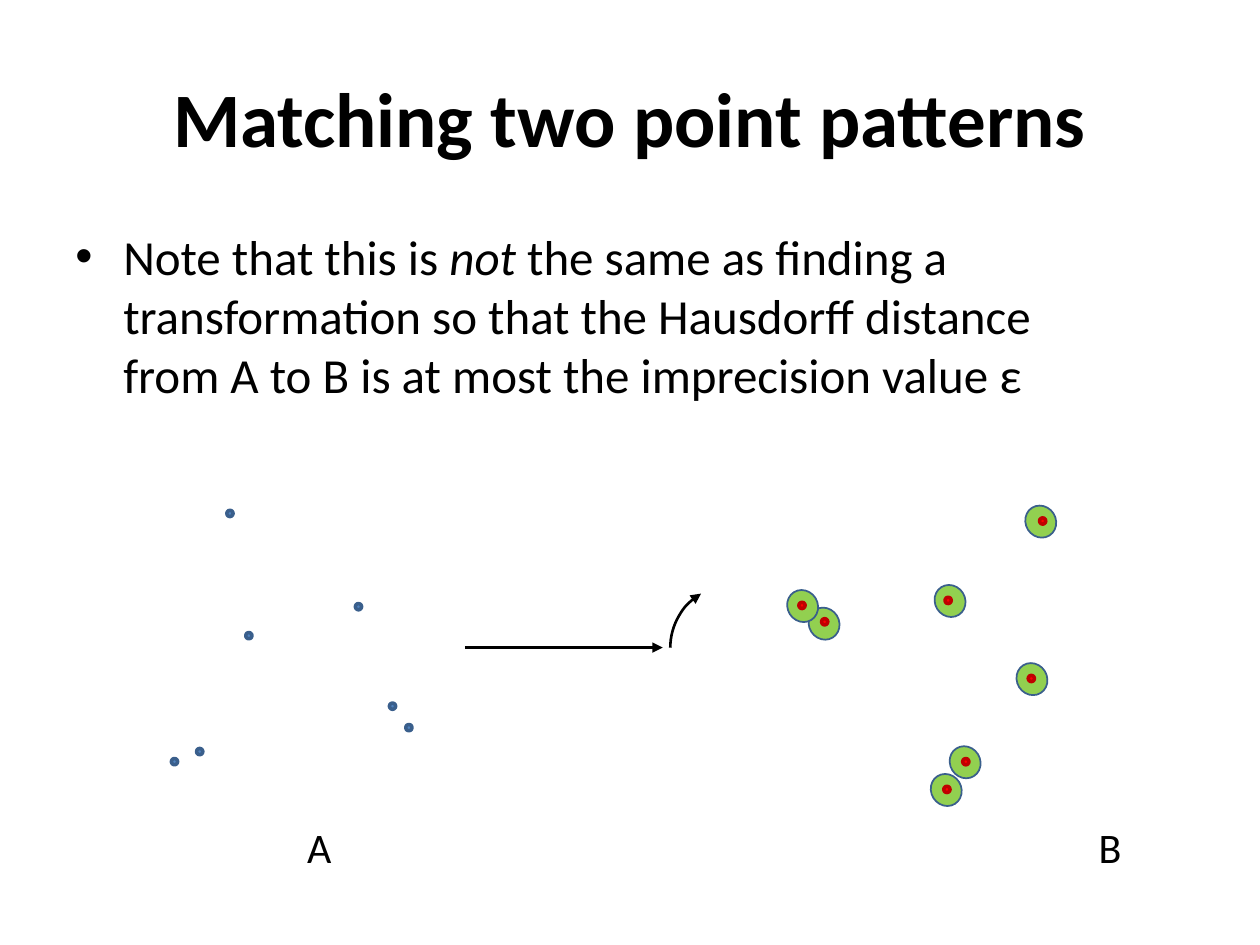
"""Build a slide that contrasts two point patterns under a matching transformation."""
import pptx
import pptx.util
import pptx.dml.color
import pptx.enum.shapes
import pptx.enum.text
import pptx.oxml
import pptx.oxml.ns

Inches, Pt = pptx.util.Inches, pptx.util.Pt
SHAPE = pptx.enum.shapes.MSO_SHAPE
ALIGN = pptx.enum.text.PP_ALIGN
ANCHOR = pptx.enum.text.MSO_ANCHOR

THEME = {
    "font": "Calibri", "text": "000000",
    "title": 44, "body": 28, "label": 24, "arrow": 1.5,
    "point_a": ("4F81BD", "3A5F8C", 2),
    "halo": ("92D050", "3A5F8C", 1),
    "point_b": ("FF0000", "C00000", 2),
}

TITLE = "Matching two point patterns"
BODY = [
    ("Note that this is ", False),
    ("not", True),
    (" the same as finding a transformation so that the Hausdorff distance "
     "from A to B is at most the imprecision value ε", False),
]
LABELS = [("A", (2.34, 6.47, 0.4, 0.5)), ("B", (8.62, 6.47, 0.38, 0.5))]

POINT_SIZE = (0.05, 0.05)
HALO_SIZE = (0.26, 0.24)
PATTERN_TILT = 57.8
POINTS_A = [(1.95, 5.02), (1.8, 4.05), (1.36, 6.02), (1.56, 5.94),
            (3.09, 5.58), (2.82, 4.79), (3.22, 5.75)]
HALOS_B = [(8.06, 5.27), (7.53, 5.93), (7.38, 6.15), (6.41, 4.83),
           (6.24, 4.69), (7.41, 4.65), (8.13, 4.02)]
POINTS_B = [(7.5, 4.74), (8.25, 4.11), (6.34, 4.78), (6.52, 4.91),
            (7.64, 6.02), (8.16, 5.36), (7.49, 6.24)]


def color(value):
    return pptx.dml.color.RGBColor.from_string(value)


def add_text(slide, box, runs, size, bold=False, align=ALIGN.LEFT,
             anchor=ANCHOR.TOP, wrap=True, bullet=False):
    frame = slide.shapes.add_textbox(*map(Inches, box)).text_frame
    frame.word_wrap = wrap
    frame.vertical_anchor = anchor
    paragraph = frame.paragraphs[0]
    paragraph.alignment = align
    if bullet:
        properties = paragraph._p.get_or_add_pPr()
        properties.set("marL", str(Inches(0.38)))
        properties.set("indent", str(-Inches(0.38)))
        for tag, name, value in (("a:buFont", "typeface", "Arial"), ("a:buChar", "char", "•")):
            mark = pptx.oxml.ns.qn(tag)
            properties.append(properties.makeelement(mark, {name: value}))
    paragraph.font.name = THEME["font"]
    paragraph.font.size = Pt(size)
    paragraph.font.bold = bold
    paragraph.font.color.rgb = color(THEME["text"])
    for text, italic in runs:
        run = paragraph.add_run()
        run.text = text
        if italic:
            run.font.italic = True


def add_ellipses(shapes, positions, size, style, rotation=0):
    fill, line, width = THEME[style]
    for position in positions:
        ellipse = shapes.add_shape(SHAPE.OVAL, *map(Inches, position + size))
        ellipse.rotation = rotation
        ellipse.shadow.inherit = False
        ellipse.fill.solid()
        ellipse.fill.fore_color.rgb = color(fill)
        ellipse.line.color.rgb = color(line)
        ellipse.line.width = Pt(width)


def style_arrow(arrow):
    arrow.line.color.rgb = color(THEME["text"])
    arrow.line.width = Pt(THEME["arrow"])
    line = arrow.line._get_or_add_ln()
    line.append(line.makeelement(pptx.oxml.ns.qn("a:tailEnd"), {"type": "triangle"}))


def add_transformation(slide):
    straight = slide.shapes.add_connector(
        pptx.enum.shapes.MSO_CONNECTOR.STRAIGHT,
        *map(Inches, (3.69, 5.14, 5.26, 5.14)))
    style_arrow(straight)
    properties = straight._element.spPr
    properties.append(properties.makeelement(pptx.oxml.ns.qn("a:effectLst"), {}))

    arc = slide.shapes.add_shape(SHAPE.ARC, *map(Inches, (5.32, 4.64, 1, 1)))
    arc.rotation = 270
    arc.adjustments[0] = 162
    arc.adjustments[1] = 197.53
    arc.fill.background()
    style_arrow(arc)
    arc.shadow.inherit = False


def main():
    presentation = pptx.Presentation()
    presentation.slide_width, presentation.slide_height = Inches(10), Inches(7.5)
    slide = presentation.slides.add_slide(presentation.slide_layouts[6])

    add_text(slide, (0.5, 0.3, 9, 1.25), [(TITLE, False)], THEME["title"],
             bold=True, align=ALIGN.CENTER, anchor=ANCHOR.MIDDLE)
    add_text(slide, (0.5, 1.75, 8.59, 1.84), BODY, THEME["body"], bullet=True)

    add_ellipses(slide.shapes, POINTS_A, POINT_SIZE, "point_a")
    add_transformation(slide)
    pattern_b = slide.shapes.add_group_shape()
    add_ellipses(pattern_b.shapes, HALOS_B, HALO_SIZE, "halo", PATTERN_TILT)
    add_ellipses(pattern_b.shapes, POINTS_B, POINT_SIZE, "point_b", PATTERN_TILT)

    for text, box in LABELS:
        add_text(slide, box, [(text, False)], THEME["label"], wrap=False)
    presentation.save("out.pptx")


if __name__ == "__main__":
    main()
